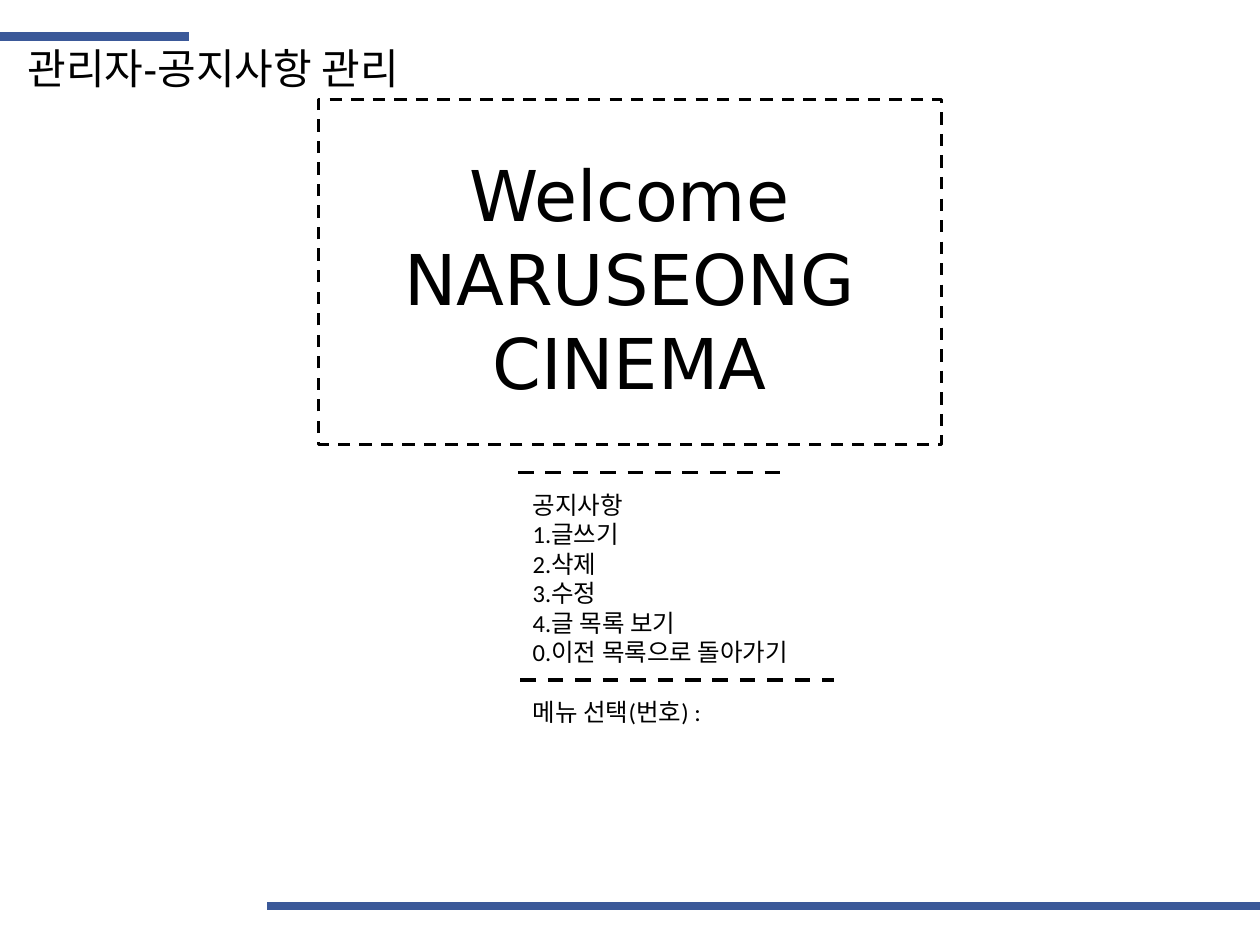
import pptx
import pptx.util
import pptx.dml.color
import pptx.enum.dml
import pptx.enum.shapes
import pptx.enum.text
from pptx.oxml.ns import qn
from lxml import etree

Inches = pptx.util.Inches
Pt = pptx.util.Pt
DASH = pptx.enum.dml.MSO_LINE.DASH
ALIGN = pptx.enum.text.PP_ALIGN
BLUE, BLACK = "3B5999", "000000"

RULES = [
    (0, 1.5, 0.29, BLUE, 5, None),
    (2.12, 10, 7.19, BLUE, 5, None),
    (4.11, 6.19, 3.75, BLACK, 2.25, DASH),
    (4.13, 6.62, 5.4, BLACK, 2.25, DASH),
]
BANNER_FRAME = (2.53, 0.79, 4.94, 2.74)
MENU = ["공지사항", "1.글쓰기", "2.삭제", "3.수정", "4.글 목록 보기", "0.이전 목록으로 돌아가기"]
TEXTS = [
    ((0.12, 0.29, 4.38, 0.5), ["관리자-공지사항 관리"], 24, "Arial", ALIGN.LEFT),
    ((2.18, 1.15, 5.63, 1.85), ["Welcome", "NARUSEONG", "CINEMA"], 40, "DejaVu Sans", ALIGN.CENTER),
    ((4.13, 3.84, 2.73, 1.47), MENU, 14, "Calibri", ALIGN.LEFT),
    ((4.13, 5.48, 2.39, 0.34), ["메뉴 선택(번호) :"], 14, "Calibri", ALIGN.LEFT),
]


def rgb(value):
    return pptx.dml.color.RGBColor.from_string(value)


def style_line(line, color, width, dash):
    line.color.rgb = rgb(color)
    line.width = Pt(width)
    if dash:
        line.dash_style = dash


def add_rule(s, left, right, y, color, width, dash):
    cx = s.shapes.add_connector(pptx.enum.shapes.MSO_CONNECTOR.STRAIGHT,
                                Inches(left), Inches(y), Inches(right), Inches(y))
    style_line(cx.line, color, width, dash)
    etree.SubElement(cx._element.spPr, qn("a:effectLst"))


def add_text(s, box, lines, size, font, align):
    tf = s.shapes.add_textbox(*map(Inches, box)).text_frame
    tf.word_wrap = True
    tf.text = "\n".join(lines)
    for p in tf.paragraphs:
        p.alignment = align
        for r in p.runs:
            r.font.size = Pt(size)
            r.font.name = font
            r.font.color.rgb = rgb(BLACK)


prs = pptx.Presentation()
prs.slide_width, prs.slide_height = Inches(10), Inches(7.5)
s = prs.slides.add_slide(prs.slide_layouts[6])

for rule in RULES:
    add_rule(s, *rule)

frame = s.shapes.add_shape(pptx.enum.shapes.MSO_SHAPE.RECTANGLE, *map(Inches, BANNER_FRAME))
frame.shadow.inherit = False
frame.fill.background()
style_line(frame.line, BLACK, 1.75, DASH)

for text in TEXTS:
    add_text(s, *text)

prs.save("out.pptx")
